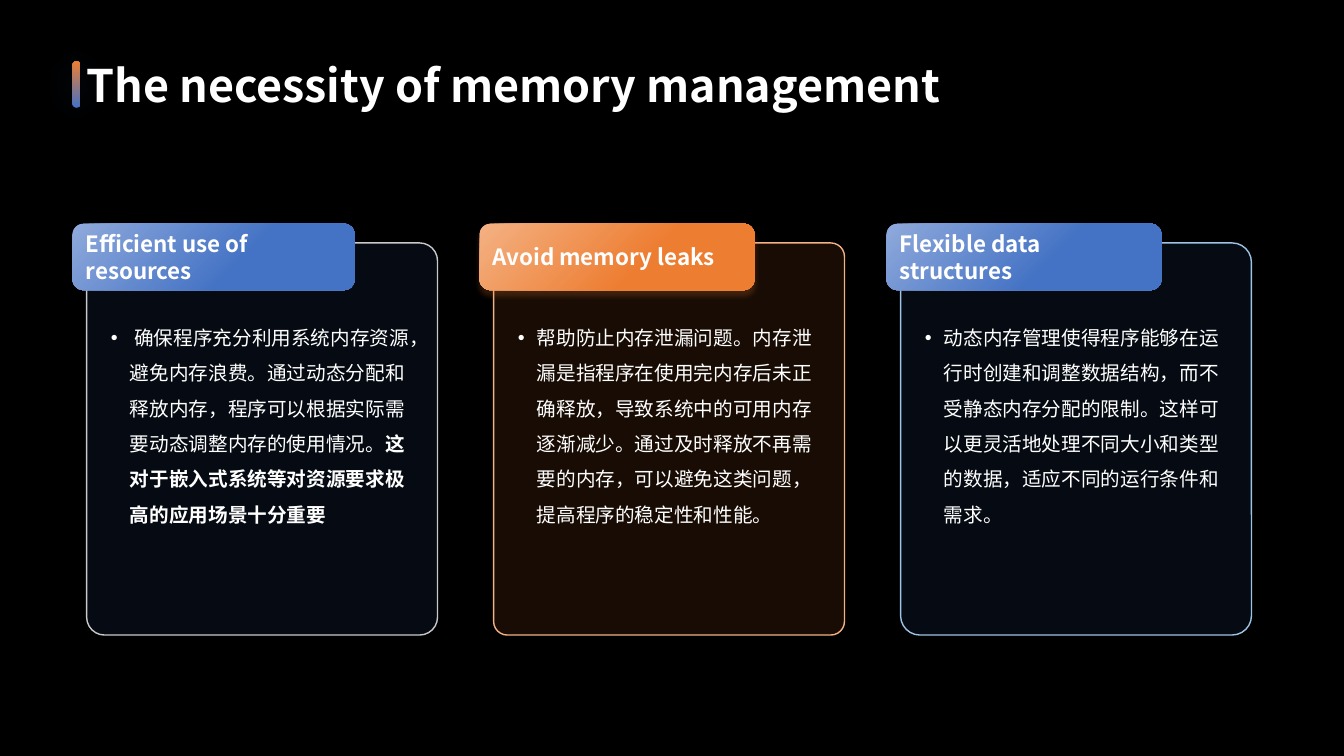
from pptx import Presentation
from pptx.dml.color import RGBColor
from pptx.enum.shapes import MSO_SHAPE
from pptx.enum.text import MSO_ANCHOR, MSO_AUTO_SIZE, PP_ALIGN
from pptx.oxml.ns import qn
from pptx.util import Pt
from lxml import etree

ROUNDED = MSO_SHAPE.ROUNDED_RECTANGLE
MIDDLE, TOP = MSO_ANCHOR.MIDDLE, MSO_ANCHOR.TOP
LEFT = PP_ALIGN.LEFT
GROW = MSO_AUTO_SIZE.SHAPE_TO_FIT_TEXT

FONT = "Noto Sans CJK SC"
WHITE, BLACK = "FFFFFF", "000000"
BLUE, PALE_BLUE = "4472C4", "8FAADC"
ORANGE, PALE_ORANGE = "ED7D31", "F4B183"

TITLE = "The necessity of memory management"
CARDS = [
    {
        "heading": "Efficient use of resources",
        "body": [
            (" 确保程序充分利用系统内存资源，避免内存浪费。通过动态分配和释放内存，"
             "程序可以根据实际需要动态调整内存的使用情况。", False),
            ("这对于嵌入式系统等对资源要求极高的应用场景十分重要", True),
        ],
        "color": BLUE, "pale": PALE_BLUE, "border": "C9C9C9",
        "corner": 0.051, "tab_width": 201.6, "shadow": None,
    },
    {
        "heading": "Avoid memory leaks",
        "body": [
            ("帮助防止内存泄漏问题。内存泄漏是指程序在使用完内存后未正确释放，"
             "导致系统中的可用内存逐渐减少。通过及时释放不再需要的内存，"
             "可以避免这类问题，提高程序的稳定性和性能。", False),
        ],
        "color": ORANGE, "pale": PALE_ORANGE, "border": PALE_ORANGE,
        "corner": 0.039, "tab_width": 196.4, "shadow": (ORANGE, 4, 4, 90),
    },
    {
        "heading": "Flexible data structures",
        "body": [
            ("动态内存管理使得程序能够在运行时创建和调整数据结构，"
             "而不受静态内存分配的限制。这样可以更灵活地处理不同大小和类型的数据，"
             "适应不同的运行条件和需求。", False),
        ],
        "color": BLUE, "pale": PALE_BLUE, "border": "9DC3E6",
        "corner": 0.055, "tab_width": 196.4, "shadow": None,
    },
]

CARD_LEFT, CARD_TOP, CARD_WIDTH, CARD_HEIGHT = 61.9, 173.5, 250.6, 280.1
CARD_PITCH = 290.7
TAB_SHIFT, TAB_TOP, TAB_HEIGHT = -10.1, 159.8, 47.5
BODY_SHIFT, BODY_TOP, BODY_WIDTH, BODY_HEIGHT = 10.3, 221, 227.5, 157.7
BODY_INDENT = 13.5


def rgb(code):
    return RGBColor.from_string(code)


def add_rounded(page, left, top, width, height, corner=None):
    box = page.shapes.add_shape(ROUNDED, Pt(left), Pt(top), Pt(width), Pt(height))
    box.shadow.inherit = False
    box.line.fill.background()
    if corner is not None:
        box.adjustments[0] = corner
    return box


def fill_gradient(box, stops, angle):
    """Angle in degrees, counter-clockwise."""
    box.fill.gradient()
    box.fill.gradient_angle = angle
    for stop, (position, color) in zip(box.fill.gradient_stops, stops):
        stop.position = position
        stop.color.rgb = rgb(color)


def set_alpha(color_element, percent):
    etree.SubElement(color_element, qn("a:alpha"), val=str(percent * 1000))


def add_shadow(box, color, blur, distance, direction):
    effects = box._element.spPr.find(qn("a:effectLst"))
    shadow = etree.SubElement(
        effects, qn("a:outerShdw"), blurRad=str(Pt(blur)), dist=str(Pt(distance)),
        dir=str(direction * 60000), algn="ctr", rotWithShape="0")
    set_alpha(etree.SubElement(shadow, qn("a:srgbClr"), val=color), 20)


def add_bullet(para, indent):
    properties = para._p.get_or_add_pPr()
    properties.set("marL", str(Pt(indent)))
    properties.set("indent", str(-Pt(indent)))
    etree.SubElement(properties, qn("a:buFont"), typeface="Arial")
    etree.SubElement(properties, qn("a:buChar"), char="•")


def write(para, text, size, bold):
    span = para.add_run()
    span.text = text
    for name, value in {"name": FONT, "size": Pt(size), "bold": bold}.items():
        setattr(span.font, name, value)
    span.font.color.rgb = rgb(WHITE)
    etree.SubElement(span._r.get_or_add_rPr(), qn("a:ea"), typeface=FONT)


def format_frame(box, **values):
    frame = box.text_frame
    for name, value in {"word_wrap": True, **values}.items():
        setattr(frame, name, value)
    para = frame.paragraphs[0]
    para.alignment = LEFT
    return para


def add_card(page, left, card):
    panel = add_rounded(page, left, CARD_TOP, CARD_WIDTH, CARD_HEIGHT, card["corner"])
    panel.fill.solid()
    panel.fill.fore_color.rgb = rgb(card["color"])
    set_alpha(panel._element.spPr.find(qn("a:solidFill")).find(qn("a:srgbClr")), 10)
    panel.line.color.rgb = rgb(card["border"])
    panel.line.width = Pt(1)

    tab = add_rounded(page, left + TAB_SHIFT, TAB_TOP, card["tab_width"], TAB_HEIGHT)
    fill_gradient(tab, [(0, card["pale"]), (0.6, card["color"])], 315)
    if card["shadow"]:
        add_shadow(tab, *card["shadow"])
    write(format_frame(tab, vertical_anchor=MIDDLE), card["heading"], 16, True)

    body = page.shapes.add_textbox(
        Pt(left + BODY_SHIFT), Pt(BODY_TOP), Pt(BODY_WIDTH), Pt(BODY_HEIGHT))
    para = format_frame(body, vertical_anchor=TOP, auto_size=GROW)
    para.line_spacing = 1.5
    add_bullet(para, BODY_INDENT)
    for text, bold in card["body"]:
        write(para, text, 14, bold)


def add_title(page):
    bar = add_rounded(page, 51.8, 43.9, 5.8, 33.1, 0.5)
    fill_gradient(bar, [(0, BLUE), (1, ORANGE)], 90)
    add_shadow(bar, BLUE, 25, 0, 0)
    box = page.shapes.add_textbox(Pt(61.9), Pt(41), Pt(806.4), Pt(38.9))
    para = format_frame(box, vertical_anchor=MIDDLE, auto_size=GROW, margin_left=0,
                        margin_right=0, margin_top=0, margin_bottom=0)
    write(para, TITLE, 32, True)


def main():
    deck = Presentation()
    deck.slide_width, deck.slide_height = Pt(960), Pt(540)
    page = deck.slides.add_slide(deck.slide_layouts[6])
    page.background.fill.solid()
    page.background.fill.fore_color.rgb = rgb(BLACK)
    for index, card in enumerate(CARDS):
        add_card(page, CARD_LEFT + index * CARD_PITCH, card)
    add_title(page)
    deck.save("out.pptx")


if __name__ == "__main__":
    main()
